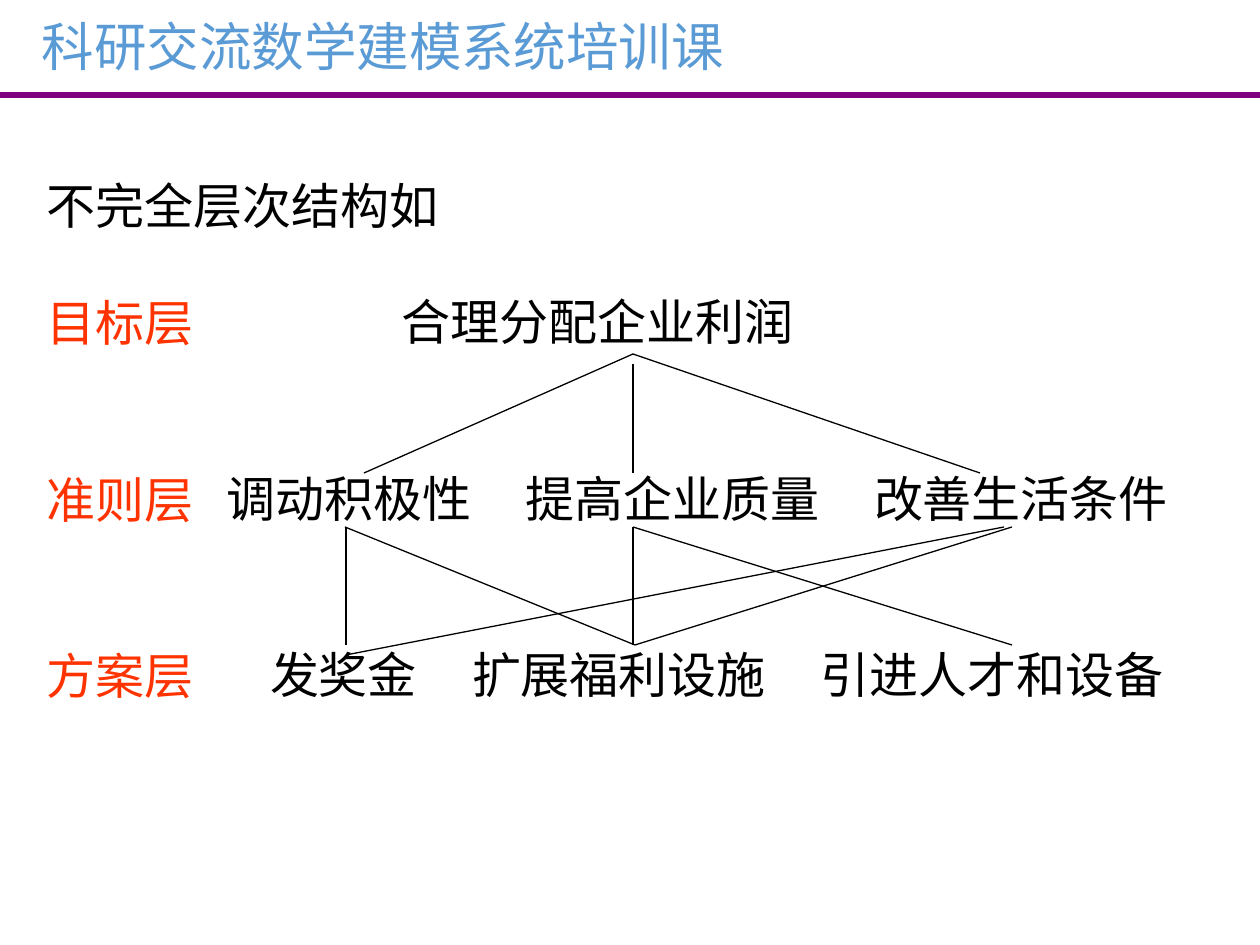
"""Build the slide on an incomplete hierarchy for sharing out profit."""
from typing import Any, NamedTuple

from lxml import etree
from pptx import Presentation
from pptx import util as u
from pptx.dml.color import RGBColor
from pptx.enum import shapes, text
from pptx.oxml.ns import qn

SCALE = 914400 / 126
COLORS = {"title": "5B9BD5", "rule": "800080", "level": "FF3300", "ink": "000000"}


class Box(NamedTuple):
    left: int
    top: int
    width: int
    height: int


class Heading(NamedTuple):
    words: str
    color: str
    space_before: float


class Level(NamedTuple):
    top: int
    nodes: dict[str, int]


class Link(NamedTuple):
    start: tuple[int, int]
    end: tuple[int, int]
    color: str = "ink"
    width: float = 0.75


HEADINGS = [
    Heading("不完全层次结构如", "ink", 0),
    Heading("目标层", "level", 33.5),
    Heading("准则层", "level", 67.2),
    Heading("方案层", "level", 67.2),
]
LEVELS = [
    Level(292, {"合理分配企业利润": 402}),
    Level(469, {"调动积极性": 227, "提高企业质量": 526, "改善生活条件": 874}),
    Level(645, {"发奖金": 270, "扩展福利设施": 472, "引进人才和设备": 821}),
]
GLYPH_WIDTH, NODE_HEIGHT = 49, 58
GOAL = (633, 354)
CRITERIA_TOP, CRITERIA_BOTTOM, PLANS_TOP = 473, 527, 645
LINKS = [
    Link((0, 95), (1260, 95), "rule", 3.25),
    Link(GOAL, (364, CRITERIA_TOP)),
    Link((633, 364), (633, CRITERIA_TOP)),
    Link(GOAL, (980, CRITERIA_TOP)),
    Link((346, CRITERIA_BOTTOM), (346, PLANS_TOP)),
    Link((346, 655), (1004, CRITERIA_BOTTOM)),
    Link((345, CRITERIA_BOTTOM), (635, PLANS_TOP)),
    Link((633, CRITERIA_BOTTOM), (633, PLANS_TOP)),
    Link((633, CRITERIA_BOTTOM), (1012, PLANS_TOP)),
    Link((1012, CRITERIA_BOTTOM), (635, PLANS_TOP)),
]


def px(length: int) -> u.Emu:
    return u.Emu(round(length * SCALE))


def set_all(target: Any, values: dict[str, Any]) -> None:
    for name, value in values.items():
        setattr(target, name, value)


def place(shape: Any, box: Box, wrap: bool) -> None:
    set_all(shape, {name: px(length) for name, length in box._asdict().items()})
    set_all(shape.text_frame, {
        "word_wrap": wrap,
        "auto_size": text.MSO_AUTO_SIZE.NONE,
        "vertical_anchor": text.MSO_ANCHOR.TOP,
    })


def add_run(paragraph: Any, words: str, size: int, color: str) -> None:
    paragraph.alignment = text.PP_ALIGN.LEFT
    run = paragraph.add_run()
    run.text = words
    set_all(run.font, {"name": "Arial", "size": u.Pt(size)})
    run.font.color.rgb = RGBColor.from_string(COLORS[color])


def write_heading(paragraph: Any, heading: Heading) -> None:
    paragraph.space_before = u.Pt(heading.space_before)
    properties = paragraph._p.get_or_add_pPr()
    properties.set("marL", "0")
    properties.set("indent", "0")
    etree.SubElement(properties, qn("a:buNone"))
    add_run(paragraph, heading.words, 28, heading.color)


def draw_level(slide: Any, level: Level) -> None:
    for words, left in level.nodes.items():
        box = Box(left, level.top, len(words) * GLYPH_WIDTH, NODE_HEIGHT)
        node = slide.shapes.add_textbox(0, 0, 0, 0)
        place(node, box, False)
        frame = node.text_frame
        set_all(frame, {f"margin_{side}": 0 for side in ("left", "top", "right", "bottom")})
        add_run(frame.paragraphs[0], words, 28, "ink")


def draw_link(slide: Any, link: Link) -> None:
    ends = [px(length) for length in link.start + link.end]
    connector = slide.shapes.add_connector(shapes.MSO_CONNECTOR.STRAIGHT, *ends)
    connector.line.color.rgb = RGBColor.from_string(COLORS[link.color])
    connector.line.width = u.Pt(link.width)
    etree.SubElement(connector._element.spPr, qn("a:effectLst"))


def main() -> None:
    presentation = Presentation()
    set_all(presentation, {"slide_width": px(1260), "slide_height": px(945)})
    slide = presentation.slides.add_slide(presentation.slide_layouts[1])
    title, body = slide.placeholders
    place(title, Box(29, 8, 752, 76), True)
    add_run(title.text_frame.paragraphs[0], "科研交流数学建模系统培训课", 30, "title")
    place(body, Box(34, 169, 1188, 547), True)
    frame = body.text_frame
    for index, heading in enumerate(HEADINGS):
        write_heading(frame.add_paragraph() if index else frame.paragraphs[0], heading)
    for level in LEVELS:
        draw_level(slide, level)
    for link in LINKS:
        draw_link(slide, link)
    presentation.save("out.pptx")


if __name__ == "__main__":
    main()
